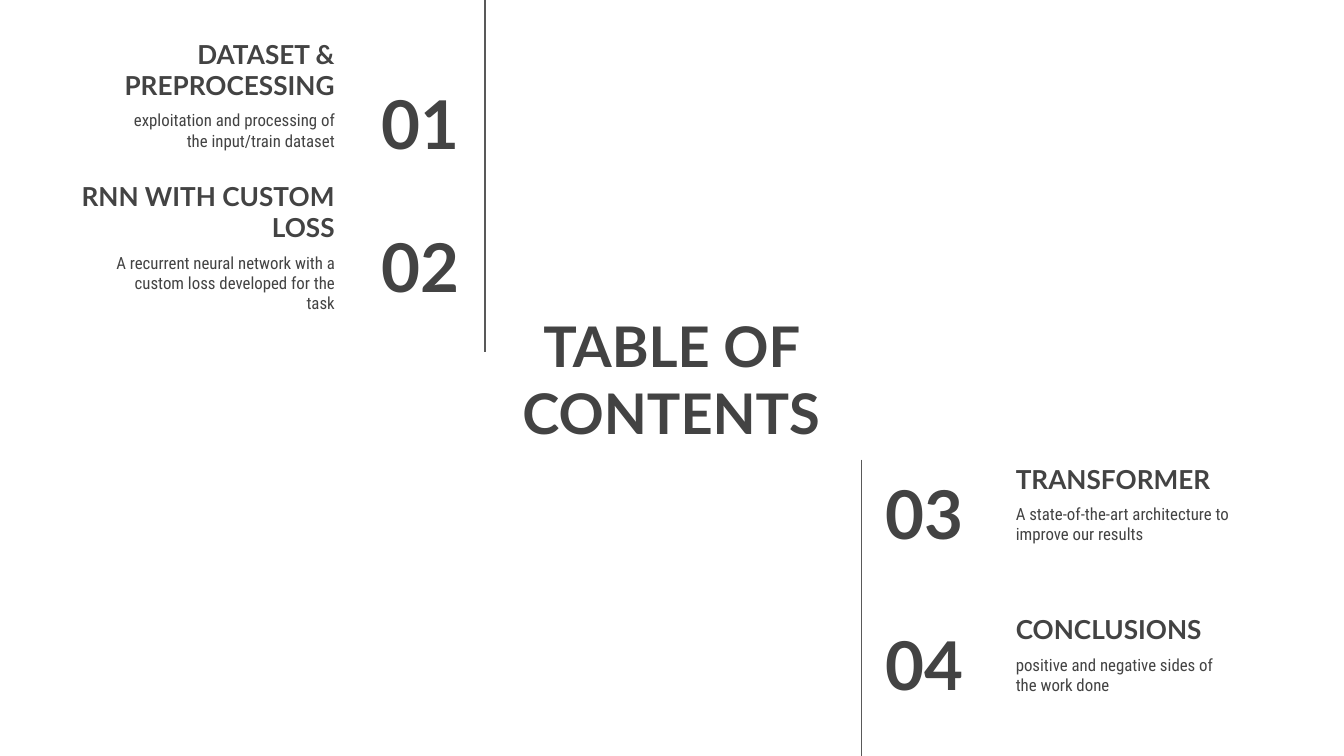
from dataclasses import dataclass

from lxml.etree import SubElement
from pptx import Presentation
from pptx.dml.color import RGBColor
from pptx.enum.shapes import MSO_CONNECTOR
from pptx.enum.text import MSO_ANCHOR, MSO_AUTO_SIZE, PP_ALIGN
from pptx.oxml.ns import qn
from pptx.util import Inches, Pt


@dataclass(frozen=True)
class Theme:
    text: RGBColor = RGBColor(0x43, 0x43, 0x43)
    rule: RGBColor = RGBColor(0x59, 0x59, 0x59)
    background: RGBColor = RGBColor(0xFF, 0xFF, 0xFF)
    heading_font: str = "Lato"
    body_font: str = "Roboto Condensed"
    title_size: int = 30
    number_size: int = 36
    heading_size: int = 14
    caption_size: int = 9
    rule_width: float = 0.75


@dataclass(frozen=True)
class Side:
    """Columns and alignment shared by the entries on one side."""
    align: PP_ALIGN
    heading_left: float
    caption_left: float
    number_left: float
    number_drop: float


THEME = Theme()
SLIDE_WIDTH = 10
SLIDE_HEIGHT = SLIDE_WIDTH * 9 / 16
ROW_HEIGHT = 0.63
HEADING_WIDTH, CAPTION_WIDTH, NUMBER_WIDTH = 2.16, 1.83, 1.2
CAPTION_DROP = 0.5

LEFT = Side(PP_ALIGN.RIGHT, 0.43, 0.76, 2.32, 0.38)
RIGHT = Side(PP_ALIGN.LEFT, 7.46, 7.46, 6.49, 0.35)

# side, top, number, heading, caption
ENTRIES = [
    (LEFT, 0.22, "01", "DATASET & PREPROCESSING",
     "exploitation and processing of the input/train dataset"),
    (LEFT, 1.28, "02", "RNN WITH CUSTOM LOSS",
     "A recurrent neural network with a custom loss developed for the task"),
    (RIGHT, 3.15, "03", "TRANSFORMER",
     "A state-of-the-art architecture to improve our results"),
    (RIGHT, 4.27, "04", "CONCLUSIONS",
     "positive and negative sides of the work done"),
]
# x, top, bottom
RULES = [(3.61, 0, 2.62), (6.41, 3.42, 5.64)]


def write_text(holder, text, *, size, align, anchor=MSO_ANCHOR.MIDDLE,
               font=THEME.heading_font, bold=True):
    frame = holder.text_frame
    frame.word_wrap = True
    frame.auto_size = MSO_AUTO_SIZE.NONE
    frame.vertical_anchor = anchor
    frame.margin_left = frame.margin_right = Inches(0.1)
    frame.margin_top = frame.margin_bottom = Inches(0.1)
    paragraph = frame.paragraphs[0]
    paragraph.alignment = align
    run = paragraph.add_run()
    run.text = text
    run.font.name = font
    run.font.size = Pt(size)
    run.font.bold = bold
    run.font.color.rgb = THEME.text


def add_label(slide, text, left, top, width, **text_format):
    box = slide.shapes.add_textbox(
        Inches(left), Inches(top), Inches(width), Inches(ROW_HEIGHT))
    write_text(box, text, **text_format)


def add_title(slide, text):
    title = slide.shapes.title
    title.left, title.top = Inches(3.7), Inches(2.3)
    title.width, title.height = Inches(2.59), Inches(1.03)
    write_text(title, text, size=THEME.title_size, align=PP_ALIGN.CENTER)


def add_entry(slide, side, top, number, heading, caption):
    add_label(slide, heading, side.heading_left, top, HEADING_WIDTH,
              size=THEME.heading_size, align=side.align,
              anchor=MSO_ANCHOR.BOTTOM)
    add_label(slide, caption, side.caption_left, top + CAPTION_DROP,
              CAPTION_WIDTH, size=THEME.caption_size, align=side.align,
              anchor=MSO_ANCHOR.TOP, font=THEME.body_font, bold=False)
    add_label(slide, number, side.number_left, top + side.number_drop,
              NUMBER_WIDTH, size=THEME.number_size, align=side.align)


def add_rule(slide, x, top, bottom):
    rule = slide.shapes.add_connector(
        MSO_CONNECTOR.STRAIGHT, Inches(x), Inches(top), Inches(x), Inches(bottom))
    rule.line.color.rgb = THEME.rule
    rule.line.width = Pt(THEME.rule_width)
    SubElement(rule.element.spPr, qn("a:effectLst"))


def main():
    deck = Presentation()
    deck.slide_width = Inches(SLIDE_WIDTH)
    deck.slide_height = Inches(SLIDE_HEIGHT)
    title_only = deck.slide_layouts[5]
    slide = deck.slides.add_slide(title_only)
    slide.background.fill.solid()
    slide.background.fill.fore_color.rgb = THEME.background

    add_title(slide, "TABLE OF CONTENTS")
    for entry in ENTRIES:
        add_entry(slide, *entry)
    for rule in RULES:
        add_rule(slide, *rule)
    deck.save("out.pptx")


if __name__ == "__main__":
    main()
